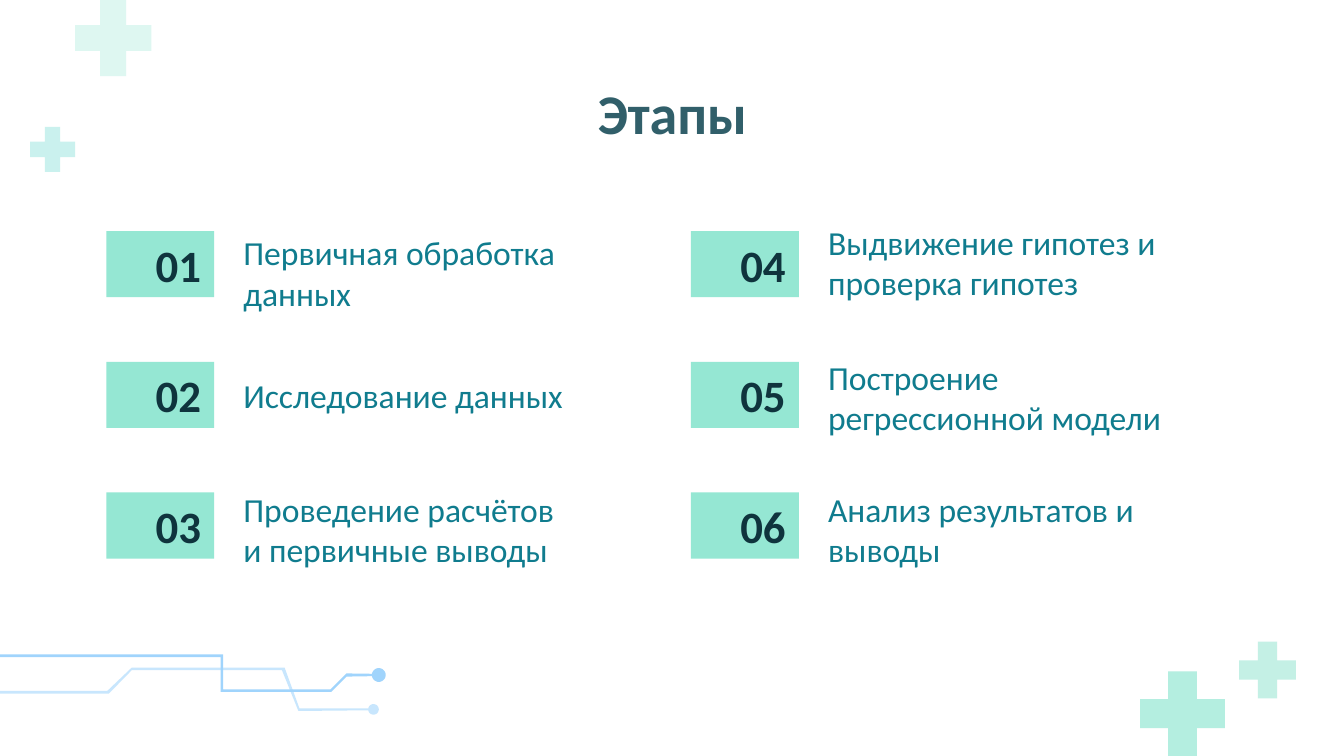
from math import cos, radians, sin

from lxml import etree
from pptx import Presentation
from pptx.dml.color import RGBColor
from pptx.enum.shapes import MSO_SHAPE
from pptx.enum.text import MSO_ANCHOR, PP_ALIGN
from pptx.oxml.ns import qn
from pptx.util import Cm, Pt

RECTANGLE, CROSS = MSO_SHAPE.RECTANGLE, MSO_SHAPE.CROSS
TOP, MIDDLE = MSO_ANCHOR.TOP, MSO_ANCHOR.MIDDLE
LEFT, CENTER, RIGHT = PP_ALIGN.LEFT, PP_ALIGN.CENTER, PP_ALIGN.RIGHT

SKY = RGBColor(0xA0, 0xD4, 0xFC)
MINT = RGBColor(0x95, 0xE7, 0xD3)
SOFT_MINT = RGBColor(0x96, 0xE5, 0xD2)
AQUA = RGBColor(0x6A, 0xD8, 0xCF)
TITLE_COLOR = RGBColor(0x31, 0x5F, 0x6A)
NUMBER_COLOR = RGBColor(0x0F, 0x34, 0x3D)
STAGE_COLOR = RGBColor(0x10, 0x7C, 0x8E)


def paint(shape, color, opacity=100):
    shape.shadow.inherit = False
    shape.line.fill.background()
    shape.fill.solid()
    shape.fill.fore_color.rgb = color
    if opacity < 100:
        color_element = shape.fill._xPr.find(qn("a:solidFill"))[0]
        alpha = etree.SubElement(color_element, qn("a:alpha"))
        alpha.set("val", str(opacity * 1000))


def write(shape, text, size, color, bold, alignment, anchor):
    text_frame = shape.text_frame
    text_frame.text = text
    text_frame.word_wrap = True
    text_frame.vertical_anchor = anchor
    text_frame.margin_left = text_frame.margin_right = Cm(0.25)
    text_frame.margin_top = text_frame.margin_bottom = Cm(0.25)
    paragraph = text_frame.paragraphs[0]
    paragraph.alignment = alignment
    font = paragraph.runs[0].font
    font.name = "Calibri"
    font.size = Pt(size)
    font.bold = bold
    font.color.rgb = color


presentation = Presentation()
presentation.slide_width = Cm(25.4)
presentation.slide_height = Cm(14.29)
slide = presentation.slides.add_slide(presentation.slide_layouts[6])
shapes = slide.shapes

# Circuit tracks: upper edge, round end (centre x, centre y, radius), lower edge
tracks = [
    ([(-0.05, 12.37), (4.22, 12.37), (4.22, 13.03), (6.25, 13.03), (6.55, 12.73)],
     (7.16, 12.76, 0.13),
     [(6.55, 12.79), (6.26, 13.08), (4.17, 13.08), (4.17, 12.42), (-0.05, 12.42)],
     100),
    ([(-0.61, 13.06), (2.03, 13.06), (2.49, 12.62), (5.38, 12.62), (5.66, 13.39)],
     (7.06, 13.41, 0.1),
     [(5.64, 13.44), (5.33, 12.67), (2.49, 12.67), (2.06, 13.11), (-0.61, 13.11)],
     57),
]
for upper_edge, (center_x, center_y, radius), lower_edge, opacity in tracks:
    round_end = [(center_x + radius * cos(radians(angle)),
                  center_y + radius * sin(radians(angle)))
                 for angle in range(190, 531, 10)]
    outline = [(Cm(x), Cm(y)) for x, y in upper_edge + round_end + lower_edge]
    builder = shapes.build_freeform(*outline[0])
    builder.add_line_segments(outline[1:], close=True)
    paint(builder.convert_to_shape(), SKY, opacity)

# Plus signs in the corners
for left, top, size, color, opacity in [
    (1.42, 0, 1.44, MINT, 31),
    (23.42, 12.13, 1.07, SOFT_MINT, 56),
    (21.55, 12.69, 1.6, MINT, 70),
    (0.57, 2.4, 0.85, AQUA, 35),
]:
    plus = shapes.add_shape(CROSS, Cm(left), Cm(top), Cm(size), Cm(size))
    plus.adjustments[0] = 0.33
    paint(plus, color, opacity)

# Title
title = shapes.add_textbox(Cm(2.01), Cm(1.24), Cm(21.4), Cm(1.6))
write(title, "Этапы", 30, TITLE_COLOR, True, CENTER, TOP)

# Stages: text, top, width and height of the text box, column by column
stages = [
    ("Первичная обработка данных", 4.14, 7.06, 0.86),
    ("Исследование данных", 6.83, 7.42, 1.24),
    ("Проведение расчётов и первичные выводы", 8.99, 6.73, 0.66),
    ("Выдвижение гипотез и проверка гипотез", 3.94, 7.42, 1.24),
    ("Построение регрессионной модели", 6.5, 7.42, 1.24),
    ("Анализ результатов и выводы", 8.99, 7.42, 1.24),
]
for index, (text, top, width, height) in enumerate(stages):
    column, row = divmod(index, 3)
    left = 2.01 + 11.05 * column
    number = shapes.add_shape(RECTANGLE, Cm(left), Cm(4.37 + 2.47 * row), Cm(2.04), Cm(1.25))
    paint(number, MINT)
    write(number, f"{index + 1:02}", 24, NUMBER_COLOR, True, RIGHT, MIDDLE)
    stage = shapes.add_textbox(Cm(left + 2.34), Cm(top), Cm(width), Cm(height))
    write(stage, text, 18, STAGE_COLOR, False, LEFT, TOP)

presentation.save("out.pptx")
